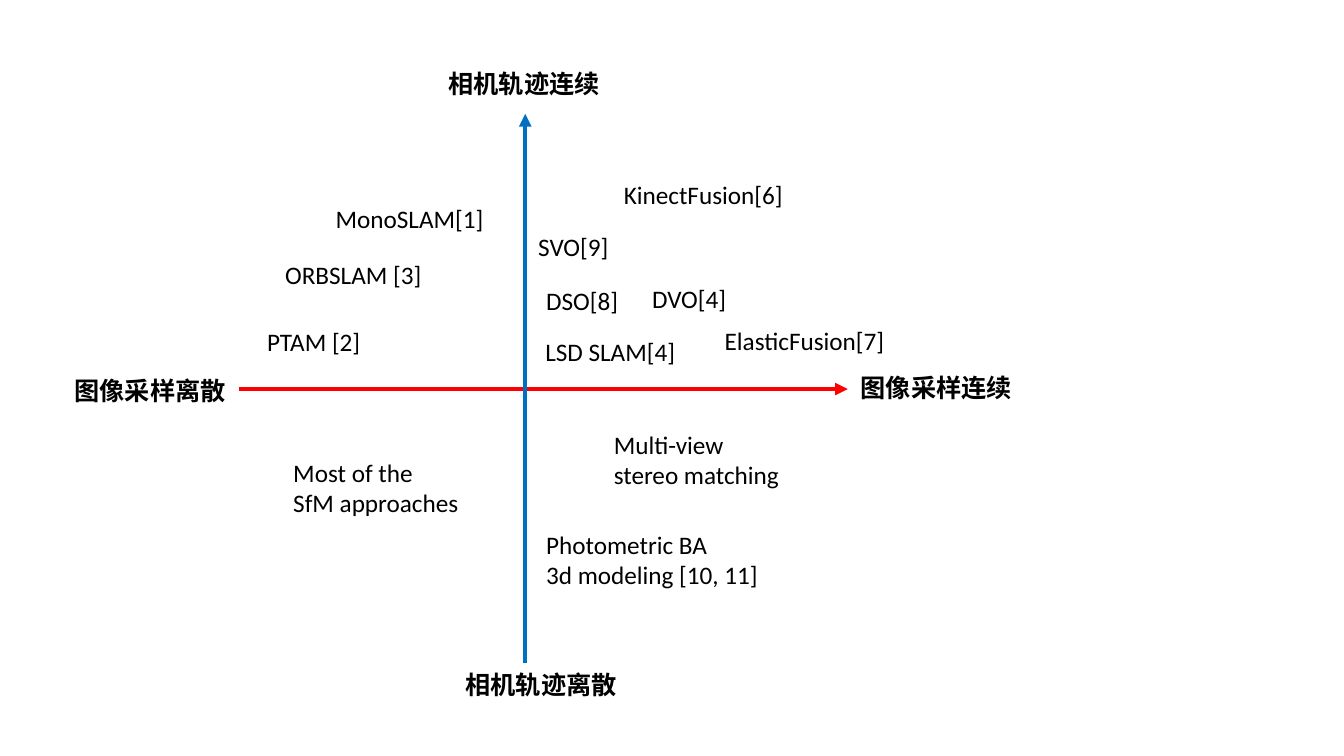
from dataclasses import dataclass

import pptx
import pptx.dml.color
import pptx.enum.shapes
import pptx.enum.text
import pptx.oxml
import pptx.oxml.ns
import pptx.shapes.shapetree
import pptx.util


@dataclass(frozen=True)
class Theme:
    ink: str = "000000"
    sampling: str = "FF0000"
    trajectory: str = "0070C0"
    latin_font: str = "Calibri"
    chinese_font: str = "Noto Sans CJK SC"
    text_size: float = 18
    axis_width: float = 3


@dataclass(frozen=True)
class Axis:
    """An arrow; its ends are percentages of the slide's width and height."""
    start: tuple[float, float]
    end: tuple[float, float]
    color: str


@dataclass(frozen=True)
class Label:
    """Text lines; left, top and width are percentages of the slide."""
    left: float
    top: float
    width: float
    lines: tuple[str, ...]


THEME = Theme()
SLIDE_WIDTH = pptx.util.Inches(13.33)
SLIDE_HEIGHT = pptx.util.Inches(7.5)
PADDING, LINE_HEIGHT = 1.25, 4.1

CENTER_X, CENTER_Y = 39.08, 51.47
AXES = (
    Axis((17.78, CENTER_Y), (63.08, CENTER_Y), THEME.sampling),
    Axis((CENTER_X, 87.73), (CENTER_X, 15.07), THEME.trajectory),
)
AXIS_ENDS = (
    Label(4.8, 48.93, 12.9, ("图像采样离散",)),
    Label(63.3, 48.53, 12.9, ("图像采样连续",)),
    Label(33.9, 87.87, 13.05, ("相机轨迹离散",)),
    Label(32.63, 8.4, 12.9, ("相机轨迹连续",)),
)
METHODS = (
    Label(19.13, 42.53, 8.48, ("PTAM [2]",)),
    Label(20.48, 33.6, 11.78, ("ORBSLAM [3]",)),
    Label(24.23, 26.27, 12.6, ("MonoSLAM[1]",)),
    Label(47.78, 36.8, 7.05, ("DVO[4]",)),
    Label(39.3, 30, 6.83, ("SVO[9]",)),
    Label(39.83, 43.87, 11.25, ("LSD SLAM[4]",)),
    Label(39.9, 37.07, 6.9, ("DSO[8]",)),
    Label(45.68, 23.07, 13.5, ("KinectFusion[6]",)),
    Label(21.08, 59.87, 13.95, ("Most of the", "SfM approaches")),
    Label(53.18, 42.4, 13.5, ("ElasticFusion[7]",)),
    Label(44.93, 56.13, 13.95, ("Multi-view", "stereo matching")),
    Label(39.9, 69.33, 17.48, ("Photometric BA", "3d modeling [10, 11]")),
)


def across(percent: float) -> pptx.util.Emu:
    return pptx.util.Emu(round(SLIDE_WIDTH * percent / 100))


def down(percent: float) -> pptx.util.Emu:
    return pptx.util.Emu(round(SLIDE_HEIGHT * percent / 100))


def draw_axis(diagram: pptx.shapes.shapetree.GroupShapes, axis: Axis) -> None:
    (start_x, start_y), (end_x, end_y) = axis.start, axis.end
    arrow = diagram.add_connector(
        pptx.enum.shapes.MSO_CONNECTOR.STRAIGHT,
        across(start_x), down(start_y), across(end_x), down(end_y))
    arrow.line.color.rgb = pptx.dml.color.RGBColor.from_string(axis.color)
    arrow.line.width = pptx.util.Pt(THEME.axis_width)
    head = pptx.oxml.parse_xml(
        f'<a:tailEnd {pptx.oxml.ns.nsdecls("a")} type="triangle"/>')
    arrow.line._get_or_add_ln().append(head)
    arrow._element.spPr.append(
        pptx.oxml.parse_xml(f'<a:effectLst {pptx.oxml.ns.nsdecls("a")}/>'))


def draw_label(diagram: pptx.shapes.shapetree.GroupShapes, label: Label,
               font_name: str, bold: bool) -> None:
    height = PADDING + LINE_HEIGHT * len(label.lines)
    box = diagram.add_textbox(
        across(label.left), down(label.top), across(label.width), down(height))
    frame = box.text_frame
    frame.word_wrap = False
    frame.auto_size = pptx.enum.text.MSO_AUTO_SIZE.SHAPE_TO_FIT_TEXT
    for index, line in enumerate(label.lines):
        paragraph = frame.add_paragraph() if index else frame.paragraphs[0]
        run = paragraph.add_run()
        run.text = line
        run.font.size = pptx.util.Pt(THEME.text_size)
        run.font.bold = bold
        run.font.color.rgb = pptx.dml.color.RGBColor.from_string(THEME.ink)
        run.font.name = font_name
        east_asian = pptx.oxml.parse_xml(
            f'<a:ea {pptx.oxml.ns.nsdecls("a")} typeface="{THEME.chinese_font}"/>')
        run._r.get_or_add_rPr().append(east_asian)


def main() -> None:
    deck = pptx.Presentation()
    deck.slide_width, deck.slide_height = SLIDE_WIDTH, SLIDE_HEIGHT
    blank_layout = deck.slide_layouts[6]
    slide = deck.slides.add_slide(blank_layout)
    diagram = slide.shapes.add_group_shape().shapes
    for axis in AXES:
        draw_axis(diagram, axis)
    for axis_end in AXIS_ENDS:
        draw_label(diagram, axis_end, THEME.chinese_font, bold=True)
    for method in METHODS:
        draw_label(diagram, method, THEME.latin_font, bold=False)
    deck.save("out.pptx")


if __name__ == "__main__":
    main()
